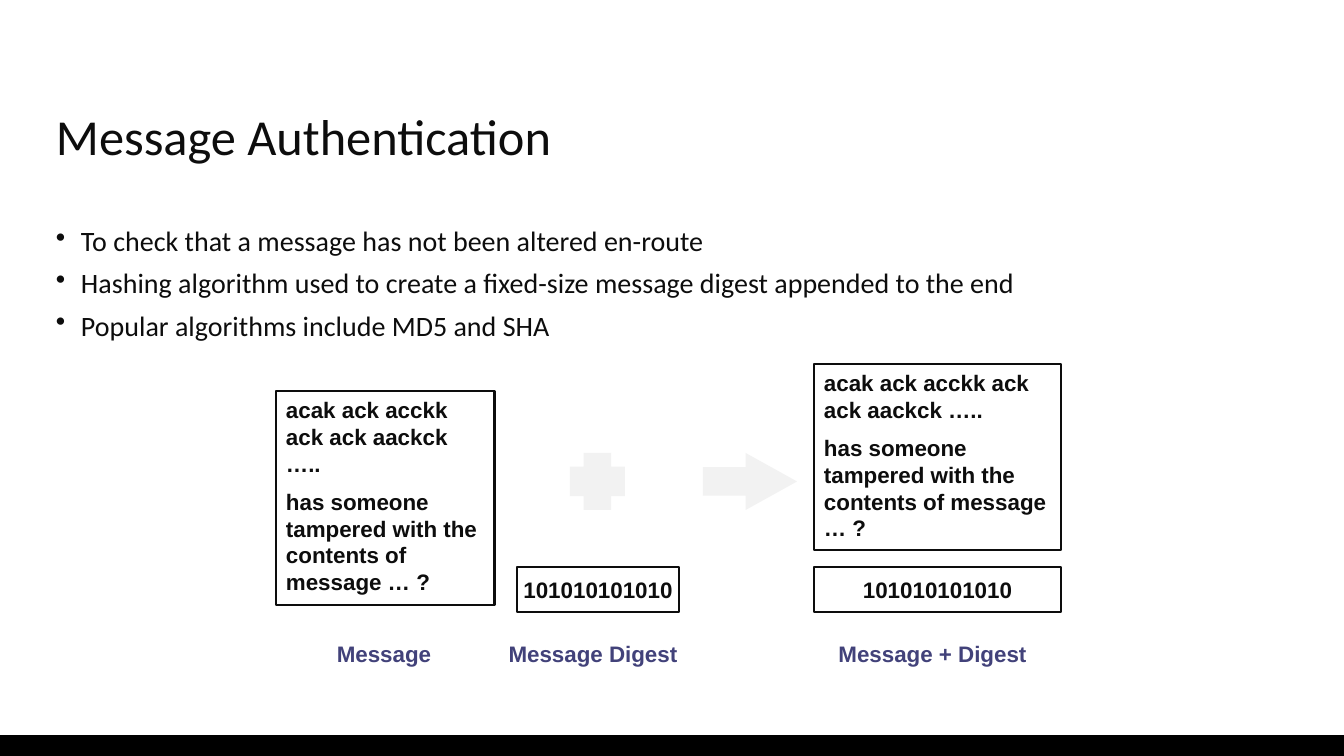
import pptx
import pptx.util
import pptx.dml.color
import pptx.enum.shapes
import pptx.enum.text
import pptx.oxml
import pptx.oxml.ns

SCALE = 12192000 / 1344
COLOURS = {"ink": "0D0D0D", "label": "42427A", "pale": "F2F2F2", "white": "FFFFFF", "black": "000000"}
SHAPES = pptx.enum.shapes.MSO_SHAPE
ALIGN = pptx.enum.text.PP_ALIGN
ANCHOR = pptx.enum.text.MSO_ANCHOR


def px(length):
    return pptx.util.Emu(round(length * SCALE))


def colour(name):
    return pptx.dml.color.RGBColor.from_string(COLOURS[name])


def add_bullet(para, indent):
    properties = para._p.get_or_add_pPr()
    properties.set("marL", str(px(indent)))
    properties.set("indent", str(-px(indent)))
    bullet = pptx.oxml.parse_xml(f'<a:buChar {pptx.oxml.ns.nsdecls("a")} char="•"/>')
    properties.append(bullet)


def write(box, lines, size=16, font="Arial", ink="ink", bold=True, align=ALIGN.LEFT,
          anchor=ANCHOR.TOP, wrap=True, side=10, before=8, spacing=None, indent=0):
    frame = box.text_frame
    frame.word_wrap = wrap
    frame.vertical_anchor = anchor
    frame.margin_left = frame.margin_right = px(side)
    frame.margin_top = frame.margin_bottom = px(5)
    for index, line in enumerate(lines):
        para = frame.add_paragraph() if index else frame.paragraphs[0]
        para.alignment = align
        if index:
            para.space_before = pptx.util.Pt(before)
        if spacing:
            para.line_spacing = spacing
        if indent:
            add_bullet(para, indent)
        span = para.add_run()
        span.text = line
        span.font.size = pptx.util.Pt(size)
        span.font.name = font
        span.font.bold = bold
        span.font.color.rgb = colour(ink)


class SlideBuilder:
    def __init__(self, deck):
        self.page = deck.slides.add_slide(deck.slide_layouts[6])
        self.line_width = pptx.util.Pt(2)

    def text(self, left, top, width, height, lines, **style):
        box = self.page.shapes.add_textbox(*map(px, (left, top, width, height)))
        write(box, lines, **style)

    def shape(self, kind, left, top, width, height, fill=None, line=None, adjust=()):
        shape = self.page.shapes.add_shape(kind, *map(px, (left, top, width, height)))
        shape.shadow.inherit = False
        if fill:
            shape.fill.solid()
            shape.fill.fore_color.rgb = colour(fill)
        else:
            shape.fill.background()
        if line:
            shape.line.color.rgb = colour(line)
            shape.line.width = self.line_width
        else:
            shape.line.fill.background()
        for index, value in enumerate(adjust):
            shape.adjustments[index] = value
        return shape

    def message(self, left, top, width, height):
        box = self.shape(SHAPES.RECTANGLE, left, top, width, height, line="ink")
        write(box, ["acak ack acckk ack ack aackck …..",
                    "has someone tampered with the contents of message … ?"])

    def digest(self, left, width):
        box = self.shape(SHAPES.RECTANGLE, left, 567, width, 45, fill="white", line="ink")
        write(box, ["101010101010"], align=ALIGN.CENTER, anchor=ANCHOR.MIDDLE, wrap=False)

    def label(self, left, width, caption):
        self.text(left, 635, width, 37, [caption], ink="label", align=ALIGN.CENTER)


def main():
    deck = pptx.Presentation()
    deck.slide_width, deck.slide_height = px(1344), px(756)
    slide = SlideBuilder(deck)
    slide.shape(SHAPES.RECTANGLE, 0, 735, 1344, 21, fill="black")
    body = {"font": "Calibri", "bold": False, "side": 0}
    slide.text(56, 107, 1231, 80, ["Message Authentication"], size=36, spacing=0.9, **body)
    slide.text(56, 219, 1231, 477, [
        "To check that a message has not been altered en-route",
        "Hashing algorithm used to create a fixed-size message digest appended to the end",
        "Popular algorithms include MD5 and SHA",
    ], size=20, before=6, indent=25, **body)

    slide.message(276, 391, 219, 214)
    slide.digest(517, 162)
    slide.message(814, 364, 247, 186)
    slide.digest(814, 247)
    for left, width, caption in [(326, 116, "Message"), (497, 192, "Message Digest"),
                                 (812, 241, "Message + Digest")]:
        slide.label(left, width, caption)

    slide.shape(SHAPES.CROSS, 570, 453, 55, 57, fill="pale", adjust=[0.25])
    slide.shape(SHAPES.RIGHT_ARROW, 703, 453, 94, 57, fill="pale", adjust=[0.5, 0.9])
    deck.save("out.pptx")


if __name__ == "__main__":
    main()
